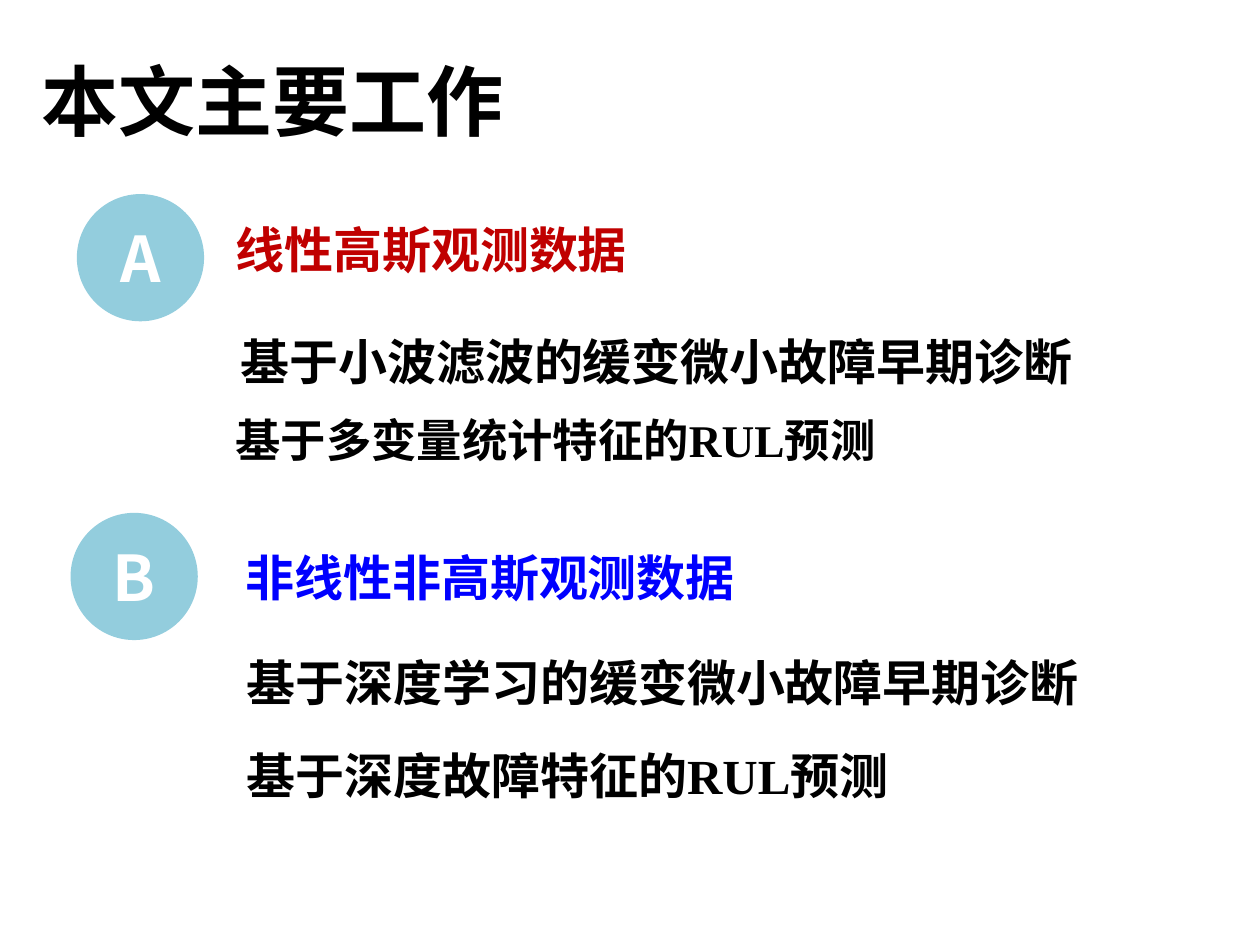
from lxml.etree import SubElement
from pptx import Presentation
from pptx.dml.color import RGBColor
from pptx.enum.shapes import MSO_SHAPE
from pptx.enum.text import MSO_ANCHOR, PP_ALIGN
from pptx.oxml.ns import qn
from pptx.util import Inches, Pt

COLORS = {"black": "000000", "white": "FFFFFF", "badge": "93CDDD",
          "linear": "C00000", "nonlinear": "0000FF"}
CJK = "Noto Sans CJK SC"
LATIN = "Times New Roman"

SECTIONS = [
    {"letter": "A", "box": (0.61, 1.54), "color": "linear",
     "heading": ("线性高斯观测数据", (1.16, 0.08, 3.39, 0.71)),
     "topics": [
         (["基于小波滤波的缓变微小故障早期诊断"], (1.2, 0.81, 7.01, 0.8), 28, 1.5),
         (["基于多变量统计特征的", "RUL", "预测"], (1.16, 1.34, 7.24, 0.87), 25.9, 1.8)]},
    {"letter": "B", "box": (0.56, 4.07), "color": "nonlinear",
     "heading": ("非线性非高斯观测数据", (1.29, 0.15, 4.33, 0.71)),
     "topics": [
         (["基于深度学习的缓变微小故障早期诊断"], (1.3, 0.83, 7.01, 0.8), 28, 1.5),
         (["基于深度故障特征的", "RUL", "预测"], (1.3, 1.33, 7.01, 1.04), 28, 2.0)]},
]


def write(frame, pieces, size, color, align=PP_ALIGN.LEFT, anchor=MSO_ANCHOR.MIDDLE, spacing=None):
    """Fill a text frame with one bold paragraph, run by run."""
    frame.word_wrap = True
    frame.vertical_anchor = anchor
    paragraph = frame.paragraphs[0]
    paragraph.alignment = align
    if spacing:
        paragraph.line_spacing = spacing
    for piece in pieces:
        run = paragraph.add_run()
        run.text = piece
        font = run.font
        font.size, font.bold = Pt(size), True
        font.color.rgb = RGBColor.from_string(COLORS[color])
        font.name = LATIN if piece == "RUL" else CJK
        SubElement(run._r.get_or_add_rPr(), qn("a:ea")).set("typeface", font.name)


def add_title(slide, left, top, width, height):
    """Place the slide title in the given box."""
    title = slide.shapes.title
    title.left, title.top = Inches(left), Inches(top)
    title.width, title.height = Inches(width), Inches(height)
    write(title.text_frame, ["本文主要工作"], 44, "black", PP_ALIGN.CENTER)


def add_section(slide, left, top, section):
    """Draw a lettered badge with its heading and topics from a corner."""
    def text_frame(x, y, width, height):
        """Add a text box offset from the section corner."""
        return slide.shapes.add_textbox(
            Inches(left + x), Inches(top + y), Inches(width), Inches(height)).text_frame

    badge = slide.shapes.add_shape(
        MSO_SHAPE.OVAL, Inches(left), Inches(top), Inches(1.01), Inches(1.01))
    badge.shadow.inherit = False
    badge.fill.solid()
    badge.fill.fore_color.rgb = RGBColor.from_string(COLORS["badge"])
    badge.line.fill.background()
    write(badge.text_frame, [section["letter"]], 36, "white", PP_ALIGN.CENTER)

    heading, heading_box = section["heading"]
    write(text_frame(*heading_box), [heading], 28, section["color"])
    for pieces, topic_box, size, spacing in section["topics"]:
        write(text_frame(*topic_box), pieces, size, "black",
              anchor=MSO_ANCHOR.TOP, spacing=spacing)


def main():
    """Build the slide and save it."""
    deck = Presentation()
    deck.slide_width, deck.slide_height = Inches(10), Inches(7.5)
    slide = deck.slides.add_slide(deck.slide_layouts[5])
    add_title(slide, 0.04, 0.44, 4.25, 0.71)
    for section in SECTIONS:
        add_section(slide, *section["box"], section)
    deck.save("out.pptx")


if __name__ == "__main__":
    main()
